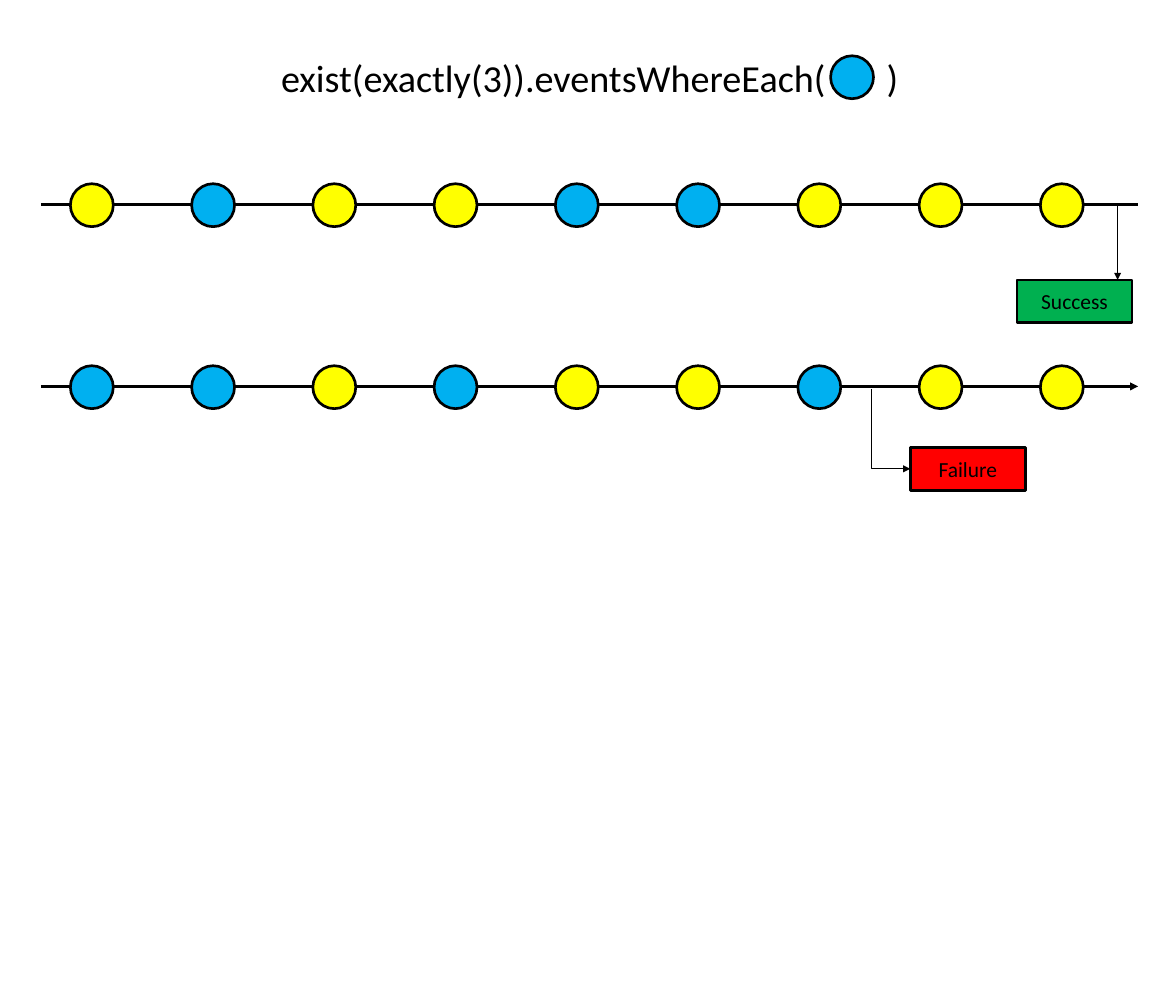
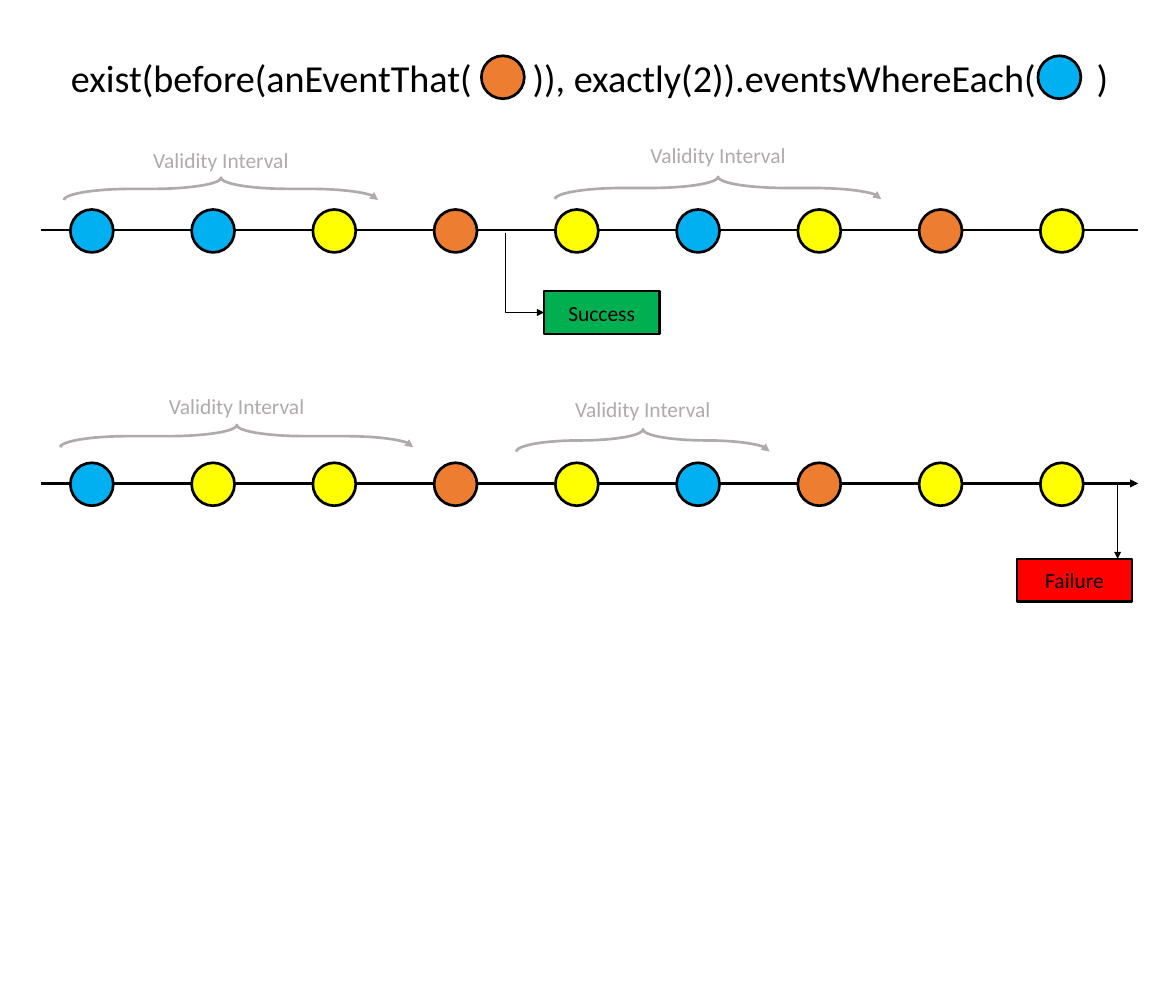
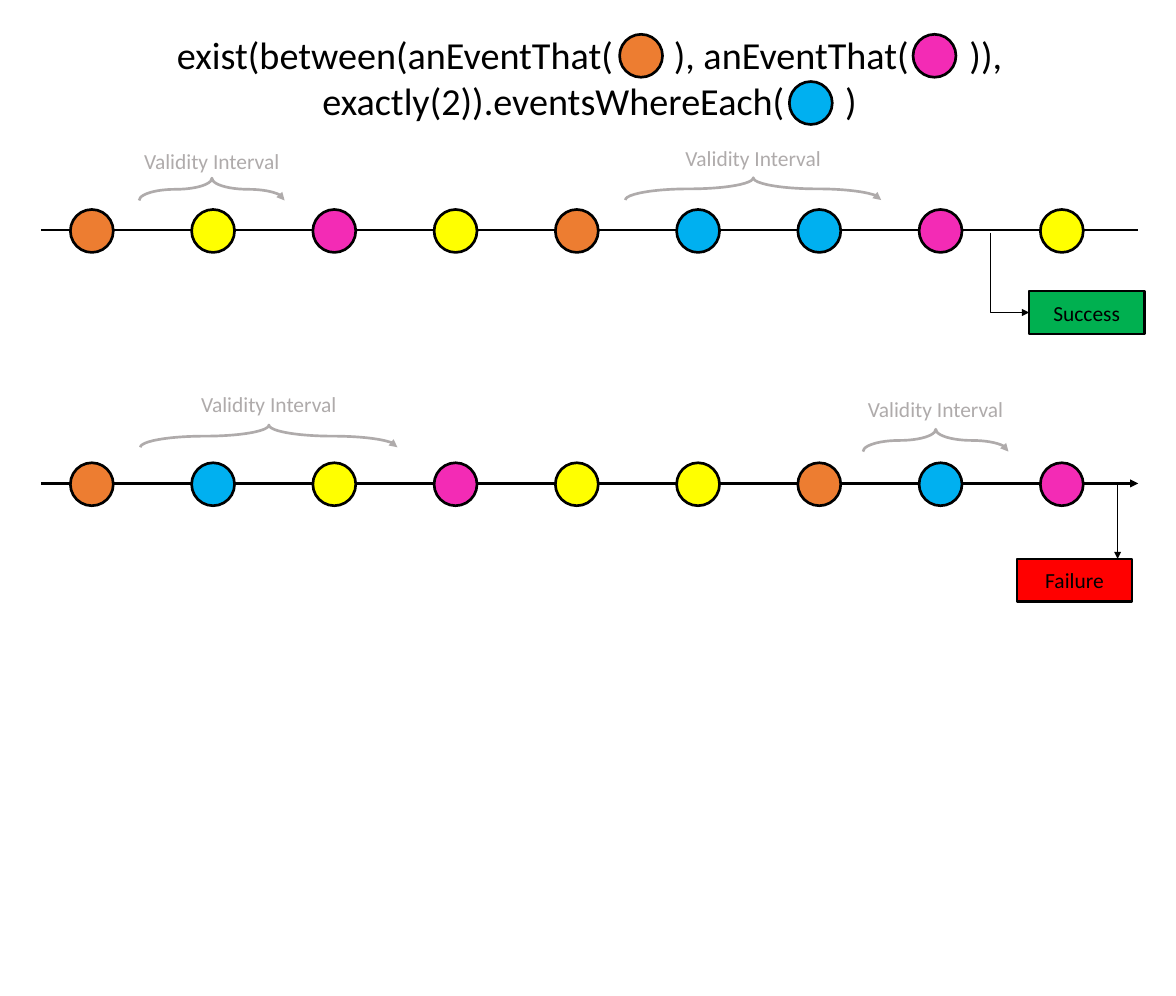
from dataclasses import dataclass

from lxml.etree import SubElement
from pptx import Presentation
from pptx.dml.color import RGBColor as Rgb
from pptx.enum.shapes import MSO_CONNECTOR as Link, MSO_SHAPE as Form
from pptx.enum.text import MSO_ANCHOR as Anchor, MSO_AUTO_SIZE as Fit, PP_ALIGN as Align
from pptx.oxml.ns import qn
from pptx.util import Inches, Pt


@dataclass(frozen=True)
class Theme:
    """Colours, type sizes, line widths and the grid."""
    font: str = "Calibri"
    black: str = "000000"
    gray: str = "AFABAB"
    good: str = "00B050"
    bad: str = "FF0000"
    head: int = 32
    small: int = 18
    thick: float = 2.25
    thin: float = 0.5
    gap: int = 4340       # extra width of a space that holds a disc, 1/100 pt
    first: float = 1.07   # centre of column 0, inches
    pitch: float = 11.3 / 8
    step: float = 0.5     # height of a row, inches


HUES = {"y": "FFFF00", "b": "00B0F0", "o": "ED7D31", "p": "F32BB5"}


class Deck:
    def __init__(self, theme):
        self.theme = theme
        self.prs = Presentation()
        self.prs.slide_width, self.prs.slide_height = Inches(13.7), Inches(11.6)

    # Grid: columns are event centres, rows count down from the top
    def wide(self, cols):
        return Inches(cols * self.theme.pitch)

    def col(self, num):
        return Inches(self.theme.first) + self.wide(num)

    def row(self, num):
        return Inches(num * self.theme.step)

    # Styling shared by all elements
    def style(self, para, size, hue):
        para.alignment = Align.CENTER
        for run in para.runs:
            font = run.font
            font.name, font.size = self.theme.font, Pt(size)
            font.color.rgb = Rgb.from_string(hue)

    def stroke(self, item, hue, width, arrow=False):
        item.line.color.rgb = Rgb.from_string(hue)
        item.line.width = Pt(width)
        props = item._element.spPr
        if arrow:
            SubElement(props.find(qn("a:ln")), qn("a:tailEnd"), type="triangle")
        if props.find(qn("a:effectLst")) is None:
            SubElement(props, qn("a:effectLst"))

    def shape(self, form, x, y, w, h, fill=None, hue=None):
        item = self.slide.shapes.add_shape(form, x, y, w, h)
        item.shadow.inherit = False
        if fill:
            item.fill.solid()
            item.fill.fore_color.rgb = Rgb.from_string(fill)
        else:
            item.fill.background()
        self.stroke(item, hue or self.theme.black, self.theme.thick, not fill)
        return item

    # Elements
    def page(self, title, discs):
        """New slide; each "( )" in the title leaves room for a disc."""
        self.slide = self.prs.slides.add_slide(self.prs.slide_layouts[5])
        head = self.slide.shapes.title
        head.left, head.top = self.col(-0.42), self.row(0.56)
        head.width, head.height = self.wide(9.05), self.row(2.46)
        frame = head.text_frame
        frame.auto_size, frame.word_wrap = Fit.NONE, True
        frame.vertical_anchor = Anchor.MIDDLE
        para = frame.paragraphs[0]
        first, *rest = title.split("( )")
        para.text = first + "("
        for num, part in enumerate(rest, 1):
            space = para.add_run()
            space.text = " "
            space._r.get_or_add_rPr().set("spc", str(self.theme.gap))
            para.add_run().text = ")" + part + ("(" if num < len(rest) else "")
        self.style(para, self.theme.head, self.theme.black)
        for hue, col, row in discs:
            self.disc(hue, col, row)

    def disc(self, hue, col, row):
        size = self.row(1)
        self.shape(Form.OVAL, self.col(col) - size // 2, self.row(row) - size // 2,
                   size, size, HUES[hue])

    def link(self, kind, x1, y1, x2, y2, width, arrow=True):
        item = self.slide.shapes.add_connector(kind, x1, y1, x2, y2)
        self.stroke(item, self.theme.black, width, arrow)
        return item

    def track(self, row, events, arrow=False):
        y = self.row(row)
        self.link(Link.STRAIGHT, self.col(-0.42), y, self.col(8.63), y,
                  self.theme.thick, arrow)
        for col, hue in enumerate(events):
            self.disc(hue, col, row + 0.02)

    def box(self, text, x, y):
        fill = self.theme.good if text == "Success" else self.theme.bad
        item = self.shape(Form.RECTANGLE, x, y, self.wide(0.95), self.row(1), fill)
        item.text_frame.text = text
        item.text_frame.vertical_anchor = Anchor.MIDDLE
        self.style(item.text_frame.paragraphs[0], self.theme.small, self.theme.black)

    def drop(self, text, row):
        """Verdict below the end of a track."""
        x, y = self.col(8.46), self.row(row + 1.76)
        self.box(text, x - self.wide(0.83), y)
        self.link(Link.STRAIGHT, x, self.row(row), x, y, self.theme.thin)

    def bend(self, text, col, row):
        """Verdict beside a track, reached by an arrow going down, then right."""
        x1, y1 = self.col(col), self.row(row + 0.06)
        x2, y2 = self.col(col + 0.32), self.row(row + 1.92)
        self.box(text, x2, y2 - self.row(0.5))
        item = self.link(Link.ELBOW, x1, y1, x2, y2, self.theme.thin)
        run, fall = x2 - x1, y2 - y1
        item.left, item.top = (x1 + x2 - fall) // 2, (y1 + y2 - run) // 2
        item.width, item.height = fall, run
        props = item._element.spPr
        props.find(qn("a:prstGeom")).set("prst", "bentConnector2")
        turn = props.find(qn("a:xfrm"))
        turn.set("rot", "16200000")
        turn.set("flipH", "1")

    def span(self, start, end, row, top):
        """Brace from column to column, with its label at row top."""
        mid, size, deep = self.col((start + end) / 2), self.wide(end - start), self.row(0.52)
        brace = self.shape(Form.LEFT_BRACE, mid - deep // 2, self.row(row) - size // 2,
                           deep, size, hue=self.theme.gray)
        brace.rotation = 90
        brace.adjustments[0] = 3.065
        width = self.wide(1.27)
        label = self.slide.shapes.add_textbox(mid - width // 2, self.row(top),
                                              width, self.row(0.8))
        label.text_frame.word_wrap = False
        label.text_frame.text = "Validity Interval"
        self.style(label.text_frame.paragraphs[0], self.theme.small, self.theme.gray)


def main():
    deck = Deck(Theme())

    # Exactly three events
    deck.page("exist(exactly(3)).eventsWhereEach( )", [("b", 6.27, 1.8)])
    deck.track(4.76, "ybyybbyyy")
    deck.drop("Success", 4.76)
    deck.track(9, "bbybyybyy", arrow=True)
    deck.bend("Failure", 6.43, 9)

    # Slides with validity intervals: title, discs, tracks, success column, spans
    high, low = 5.36, 11.26
    pages = [
        ("exist(before(anEventThat( )), exactly(2)).eventsWhereEach( )",
         [("o", 3.39, 1.8), ("b", 7.98, 1.8)],
         "bbyoybyoy", "byyoyboyy", 3.41,
         [(-0.23, 2.36, 4.4, 3.32), (3.82, 6.51, 4.38, 3.2),
          (-0.26, 2.65, 10.16, 9.06), (3.5, 5.59, 10.26, 9.12)]),
        ("exist(between(anEventThat( ), anEventThat( )), exactly(2)).eventsWhereEach( )",
         [("o", 4.53, 1.3), ("p", 6.95, 1.3), ("b", 5.93, 2.4)],
         "oypyobbpy", "obypyyobp", 7.41,
         [(0.39, 1.59, 4.41, 3.34), (4.4, 6.51, 4.4, 3.28),
          (0.4, 2.52, 10.16, 9.02), (6.36, 7.56, 10.26, 9.12)]),
    ]
    for title, discs, upper, lower, col, spans in pages:
        deck.page(title, discs)
        deck.track(high, upper)
        deck.bend("Success", col, high)
        deck.track(low, lower, arrow=True)
        deck.drop("Failure", low)
        for span in spans:
            deck.span(*span)

    deck.prs.save("out.pptx")


if __name__ == "__main__":
    main()
